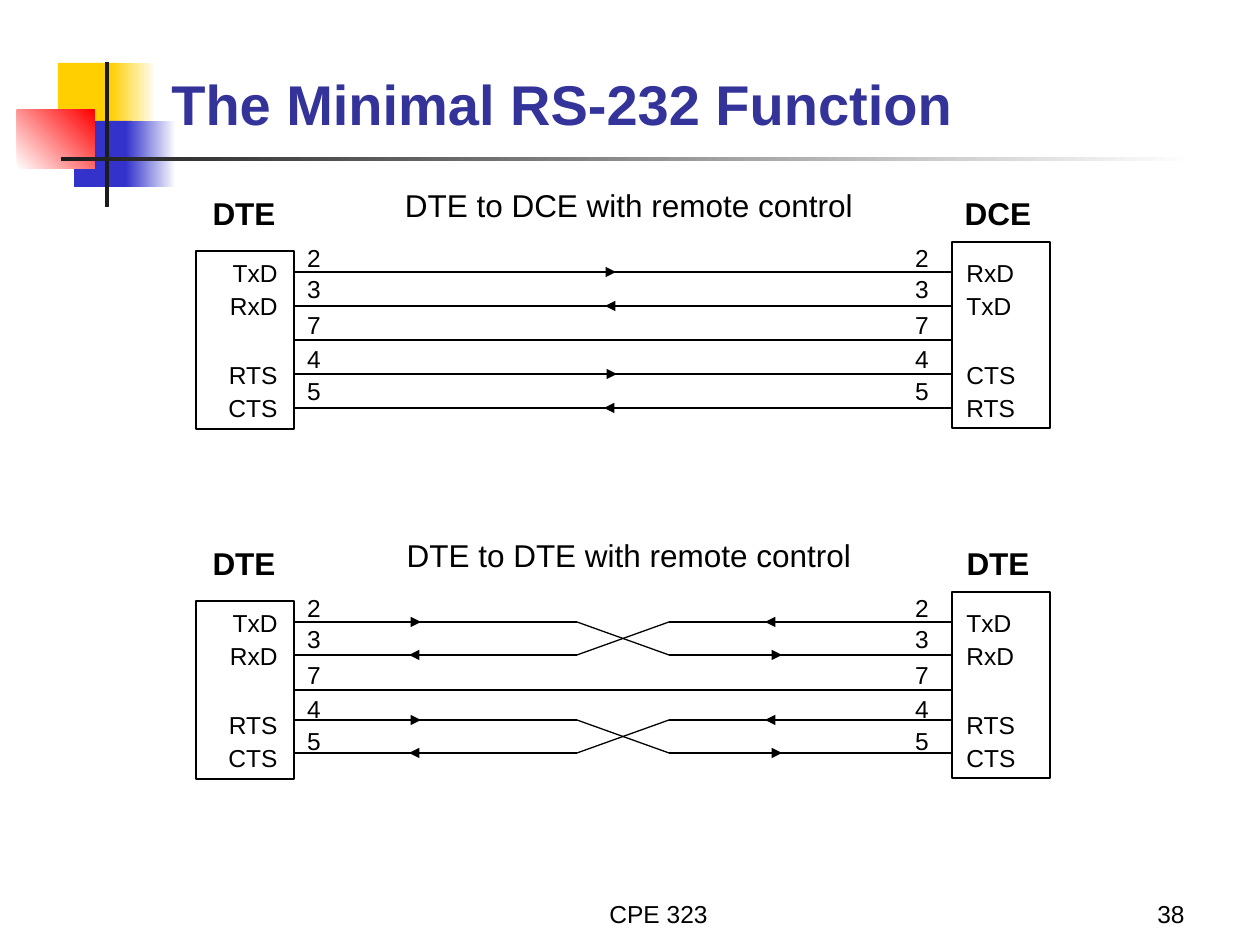
from lxml import etree
from pptx import Presentation
from pptx import util as u
from pptx.dml.color import RGBColor
from pptx.enum import shapes, text
from pptx.oxml.ns import qn

SCALE = 914400 / 126
COLORS = {
    "black": "000000",
    "white": "FFFFFF",
    "yellow": "FFCF01",
    "blue": "3333CC",
    "red": "FF0000",
    "ink": "1C1C1C",
    "title": "333399",
}
LEFT, CENTER, RIGHT = text.PP_ALIGN.LEFT, text.PP_ALIGN.CENTER, text.PP_ALIGN.RIGHT
TOP, BOTTOM = text.MSO_ANCHOR.TOP, text.MSO_ANCHOR.BOTTOM

WIRE_LEFT, WIRE_RIGHT = 294, 952
CROSS_LEFT, CROSS_RIGHT = 577, 669
CROSS_DROP = 33
PANEL_GAP = 350
PIN_TOPS = {"2": 237, "3": 268, "7": 304, "4": 338, "5": 370}
SIGNAL_TOPS = (252, 285, 354, 387)


def px(n):
    return u.Emu(round(n * SCALE))


def rgb(name):
    return RGBColor.from_string(COLORS[name])


def add_rect(s, x, y, w, h):
    sp = s.shapes.add_shape(shapes.MSO_SHAPE.RECTANGLE, px(x), px(y), px(w), px(h))
    sp.shadow.inherit = False
    return sp


def add_block(s, x, y, w, h, start, end=None, angle=0):
    sp = add_rect(s, x, y, w, h)
    sp.line.fill.background()
    if end is None:
        sp.fill.solid()
        sp.fill.fore_color.rgb = rgb(start)
        return
    sp.fill.gradient()
    sp.fill.gradient_angle = angle
    for stop, position, color in zip(sp.fill.gradient_stops, (0, 1), (start, end)):
        stop.position = position
        stop.color.rgb = rgb(color)


def add_device(s, x, y, h):
    sp = add_rect(s, x, y, 98, h)
    sp.fill.background()
    sp.line.color.rgb = rgb("black")
    sp.line.width = u.Pt(0.75)
    return sp


def add_text(s, x, y, w, h, words, size=14, align=CENTER, anchor=TOP, color="black", bold=False):
    tf = s.shapes.add_textbox(px(x), px(y), px(w), px(h)).text_frame
    tf.word_wrap = True
    tf.vertical_anchor = anchor
    p = tf.paragraphs[0]
    p.text = words
    p.alignment = align
    p.font.name = "Arial"
    p.font.size = u.Pt(size)
    p.font.bold = bold
    p.font.color.rgb = rgb(color)


def add_line(parent, x1, y1, x2, y2, arrow=False):
    c = parent.shapes.add_connector(
        shapes.MSO_CONNECTOR.STRAIGHT, px(x1), px(y1), px(x2), px(y2)
    )
    c.line.color.rgb = rgb("black")
    c.line.width = u.Pt(0.75)
    if arrow:
        etree.SubElement(c.line._get_or_add_ln(), qn("a:tailEnd"), type="triangle")
    etree.SubElement(c._element.spPr, qn("a:effectLst"))
    return c


def add_crossover(s, y):
    grp = s.shapes.add_group_shape()
    low = y + CROSS_DROP
    for row in (y, low):
        add_line(grp, WIRE_LEFT, row, CROSS_LEFT, row)
        add_line(grp, CROSS_RIGHT, row, WIRE_RIGHT, row)
    add_line(grp, CROSS_LEFT, y, CROSS_RIGHT, low)
    add_line(grp, CROSS_LEFT, low, CROSS_RIGHT, y)
    for x1, x2, row in ((353, 421, y), (477, 409, low), (833, 765, y), (714, 782, low)):
        add_line(grp, x1, row, x2, row, arrow=True)


def add_panel(s, dy, caption, right_name, right_signals):
    left = add_device(s, 196, 251 + dy, 178)
    add_device(s, 952, 242 + dy, 186)
    ground = add_line(s, WIRE_LEFT, 340 + dy, WIRE_RIGHT, 340 + dy)
    ground.begin_connect(left, 3)
    add_text(s, 389, 180 + dy, 480, 50, caption, 18)
    for x, name in ((197, "DTE"), (951, right_name)):
        add_text(s, x, 188 + dy, 94, 50, name, 18, bold=True)
    for pin, y in PIN_TOPS.items():
        for x in (292, 900):
            add_text(s, x, y + dy, 44, 42, pin)
    for y, a, b in zip(SIGNAL_TOPS, ("TxD", "RxD", "RTS", "CTS"), right_signals):
        add_text(s, 210, y + dy, 80, 42, a, align=RIGHT)
        add_text(s, 954, y + dy, 80, 42, b, align=LEFT)


def add_master_art(s):
    add_block(s, 58, 63, 60, 66, "yellow")
    add_block(s, 111, 63, 45, 66, "yellow", "white")
    add_block(s, 74, 121, 58, 66, "blue")
    add_block(s, 126, 121, 50, 66, "blue", "white")
    add_block(s, 17, 110, 78, 59, "white", "red", 45)
    add_block(s, 105, 62, 4, 145, "ink")
    add_block(s, 61, 157, 1134, 4, "ink", "white")


def main():
    prs = Presentation()
    prs.slide_width, prs.slide_height = px(1260), px(945)
    s = prs.slides.add_slide(prs.slide_layouts[6])
    add_master_art(s)
    add_text(s, 159, 23, 1074, 120, "The Minimal RS-232 Function", 32, LEFT, BOTTOM, "title", True)
    add_text(s, 462, 872, 400, 63, "CPE 323 ", anchor=BOTTOM)
    add_text(s, 935, 872, 262, 63, "38", align=RIGHT, anchor=BOTTOM)

    add_panel(s, 0, "DTE to DCE with remote control", "DCE", ("RxD", "TxD", "CTS", "RTS"))
    for y, x1, x2 in ((272, 548, 616), (306, 673, 605), (374, 549, 617), (408, 672, 604)):
        add_line(s, WIRE_LEFT, y, WIRE_RIGHT, y)
        add_line(s, x1, y, x2, y, arrow=True)

    add_panel(s, PANEL_GAP, "DTE to DTE with remote control", "DTE", ("TxD", "RxD", "RTS", "CTS"))
    for y in (622, 720):
        add_crossover(s, y)
    prs.save("out.pptx")


if __name__ == "__main__":
    main()
